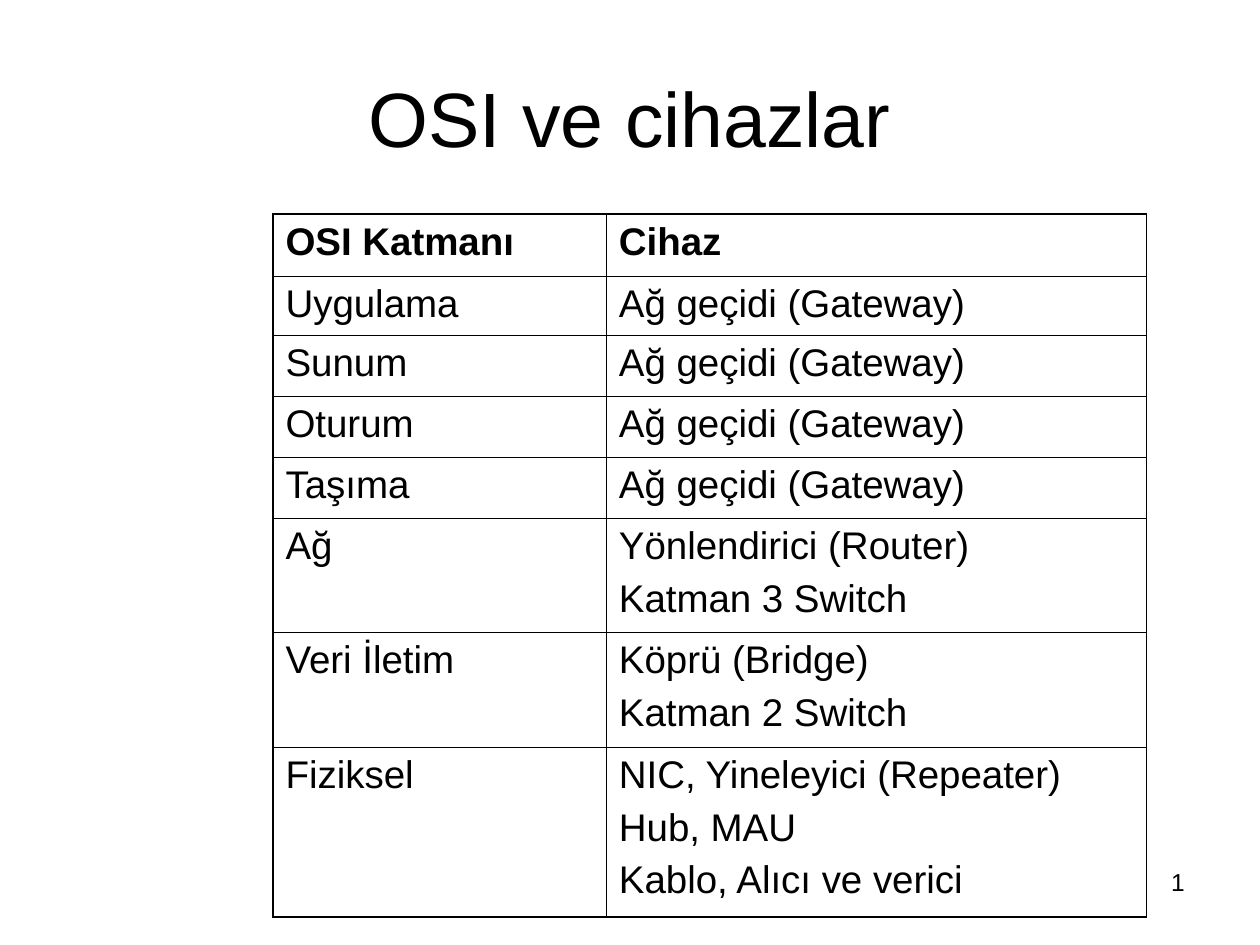
from lxml import etree
from pptx import Presentation
from pptx.dml.color import RGBColor
from pptx.enum import text
from pptx.oxml import ns
from pptx.util import Pt

# Content
TITLE = "OSI ve cihazlar"
PAGE_NUMBER = "1"
GATEWAY = "Ağ geçidi (Gateway)"
LAYERS = [  # layer, devices, row height
    ("OSI Katmanı", ["Cihaz"], 35.4),
    ("Uygulama", [GATEWAY], 33.7),
    ("Sunum", [GATEWAY], 35),
    ("Oturum", [GATEWAY], 35),
    ("Taşıma", [GATEWAY], 34.8),
    ("Ağ", ["Yönlendirici (Router)", "Katman 3 Switch"], 65.3),
    ("Veri İletim", ["Köprü (Bridge)", "Katman 2 Switch"], 65.5),
    ("Fiziksel", ["NIC, Yineleyici (Repeater)", "Hub, MAU",
                  "Kablo, Alıcı ve verici"], 97.2),
]
COLUMN_WIDTHS = [190.5, 308.7]
COLORS = {"ink": "000000", "paper": "FFFFFF"}
FONT = "Arial"
OUTER, INNER = 1.08, 0.45


def set_font(para, size, bold=False):
    para.font.name = FONT
    para.font.size = Pt(size)
    para.font.bold = bold
    para.font.color.rgb = RGBColor.from_string(COLORS["ink"])


def set_borders(cell, widths):
    """Draw the cell's left, right, top and bottom lines."""
    properties = cell._tc.get_or_add_tcPr()
    for index, (side, width) in enumerate(widths.items()):
        line = etree.Element(ns.qn(f"a:ln{side}"), w=str(int(Pt(width))))
        fill = etree.SubElement(line, ns.qn("a:solidFill"))
        etree.SubElement(fill, ns.qn("a:srgbClr"), val=COLORS["ink"])
        properties.insert(index, line)


def fill_cell(cell, lines, bold):
    cell.fill.background()
    cell.text_frame.text = "\n".join(lines)
    for index, para in enumerate(cell.text_frame.paragraphs):
        para.space_before = Pt(5.5 if index else 0)
        set_font(para, 22, bold)


deck = Presentation()
deck.slide_width, deck.slide_height = Pt(720), Pt(540)
page = deck.slides.add_slide(deck.slide_layouts[5])
page.background.fill.solid()
page.background.fill.fore_color.rgb = RGBColor.from_string(COLORS["paper"])

# Title
title = page.shapes.title
title.left, title.top, title.width, title.height = Pt(36), Pt(21.6), Pt(648), Pt(90)
title.text_frame.text = TITLE
title.text_frame.vertical_anchor = text.MSO_ANCHOR.MIDDLE
title.text_frame.paragraphs[0].alignment = text.PP_ALIGN.CENTER
set_font(title.text_frame.paragraphs[0], 44)

# Table of layers and devices
heights = [height for _, _, height in LAYERS]
table = page.shapes.add_table(
    len(LAYERS), len(COLUMN_WIDTHS), Pt(156), Pt(122.4),
    Pt(sum(COLUMN_WIDTHS)), Pt(sum(heights))).table
table.horz_banding = False
for column, width in zip(table.columns, COLUMN_WIDTHS):
    column.width = Pt(width)

last_row, last_column = len(LAYERS) - 1, len(COLUMN_WIDTHS) - 1
for r, (layer, devices, height) in enumerate(LAYERS):
    table.rows[r].height = Pt(height)
    for c, lines in enumerate(([layer], devices)):
        cell = table.cell(r, c)
        fill_cell(cell, lines, bold=r == 0)
        set_borders(cell, {
            "L": OUTER if c == 0 else INNER,
            "R": OUTER if c == last_column else INNER,
            "T": OUTER if r == 0 else INNER,
            "B": OUTER if r == last_row else INNER,
        })

# Page number
box = page.shapes.add_textbox(Pt(516), Pt(492), Pt(168), Pt(37.5))
box.text_frame.word_wrap = True
box.text_frame.text = PAGE_NUMBER
box.text_frame.paragraphs[0].alignment = text.PP_ALIGN.RIGHT
set_font(box.text_frame.paragraphs[0], 14)

deck.save("out.pptx")
